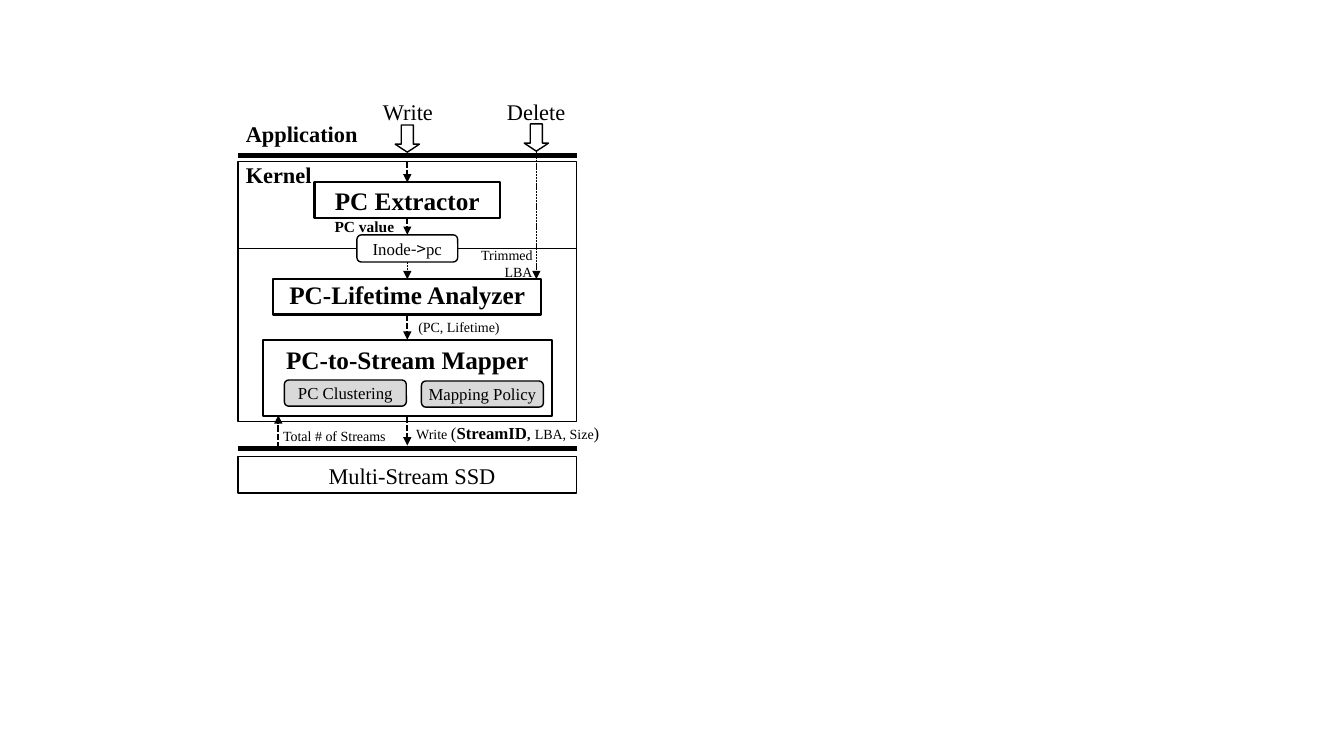
from dataclasses import dataclass
from typing import NamedTuple, Optional

from lxml import etree
from pptx import Presentation
from pptx.dml.color import RGBColor
from pptx.enum.dml import MSO_LINE
from pptx.enum.shapes import MSO_CONNECTOR, MSO_SHAPE
from pptx.enum.text import MSO_ANCHOR, MSO_AUTO_SIZE, PP_ALIGN
from pptx.oxml.ns import qn
from pptx.util import Inches, Length, Pt


@dataclass(frozen=True)
class Theme:
    font: str = "Times New Roman"
    arrow_font: str = "Noto Sans CJK KR"
    ink: RGBColor = RGBColor(0, 0, 0)
    paper: RGBColor = RGBColor(255, 255, 255)
    grey: RGBColor = RGBColor(0xD9, 0xD9, 0xD9)
    module: float = 18
    layer: float = 16
    detail: float = 12
    value: float = 11
    note: float = 10
    hair: float = 0.5
    thin: float = 1
    medium: float = 1.5
    thick: float = 3.5


class Run(NamedTuple):
    text: str
    size: float
    bold: bool = False
    font: Optional[str] = None


class Box(NamedTuple):
    center: float
    top: float
    width: float
    height: float
    line: float
    runs: tuple[Run, ...] = ()
    kind: MSO_SHAPE = MSO_SHAPE.RECTANGLE
    fill: Optional[RGBColor] = None
    anchor: MSO_ANCHOR = MSO_ANCHOR.MIDDLE
    inset_x: float = 1
    inset_y: float = 0.5


class Label(NamedTuple):
    left: float
    top: float
    width: float
    height: float
    paragraphs: tuple[tuple[Run, ...], ...]
    align: PP_ALIGN = PP_ALIGN.LEFT


class Line(NamedTuple):
    x1: float
    y1: float
    x2: float
    y2: float
    width: float
    arrow: bool = False


T = Theme()
CELL = 0.1
LEFT, RIGHT = 23.6, 57.2
AXIS = (LEFT + RIGHT) / 2
SPAN = RIGHT - LEFT
TRIM, STREAMS = 53.2, 27.6
APP_EDGE, KERNEL, SPLIT, SSD_EDGE = 15.4, 16, 24.6, 44.5
EXTRACTOR, INODE, ANALYZER, MAPPER = 18.1, 23.3, 27.7, 33.7
MODULE_H, MAPPER_H, INODE_H, DETAIL_H = 3.5, 7.6, 2.7, 2.6


def grid(cells: float) -> Length:
    return Inches(round(cells * CELL, 3))


def write(paragraph, runs: tuple[Run, ...], align: PP_ALIGN) -> None:
    paragraph.alignment = align
    for item in runs:
        run = paragraph.add_run()
        run.text = item.text
        run.font.size = Pt(item.size)
        run.font.bold = item.bold
        run.font.name = item.font or T.font
        run.font.color.rgb = T.ink


def draw_box(shapes, box: Box) -> None:
    shape = shapes.add_shape(box.kind, grid(box.center - box.width / 2),
                             grid(box.top), grid(box.width), grid(box.height))
    shape.shadow.inherit = False
    if box.kind == MSO_SHAPE.DOWN_ARROW:
        shape.adjustments[1] = 0.33
    if box.fill is None:
        shape.fill.background()
    else:
        shape.fill.solid()
        shape.fill.fore_color.rgb = box.fill
    shape.line.color.rgb = T.ink
    shape.line.width = Pt(box.line)
    frame = shape.text_frame
    frame.vertical_anchor = box.anchor
    frame.margin_left = frame.margin_right = grid(box.inset_x)
    frame.margin_top = frame.margin_bottom = grid(box.inset_y)
    write(frame.paragraphs[0], box.runs, PP_ALIGN.CENTER)


def draw_label(shapes, label: Label) -> None:
    frame = shapes.add_textbox(grid(label.left), grid(label.top),
                               grid(label.width), grid(label.height)).text_frame
    frame.word_wrap = False
    frame.auto_size = MSO_AUTO_SIZE.SHAPE_TO_FIT_TEXT
    for index, runs in enumerate(label.paragraphs):
        paragraph = frame.add_paragraph() if index else frame.paragraphs[0]
        write(paragraph, runs, label.align)


def draw_line(shapes, line: Line) -> None:
    connector = shapes.add_connector(MSO_CONNECTOR.STRAIGHT, grid(line.x1), grid(line.y1),
                                     grid(line.x2), grid(line.y2))
    connector.line.color.rgb = T.ink
    connector.line.width = Pt(line.width)
    properties = connector.element.spPr
    if line.arrow:
        connector.line.dash_style = MSO_LINE.SQUARE_DOT
        etree.SubElement(properties.find(qn("a:ln")), qn("a:tailEnd"), type="triangle")
    etree.SubElement(properties, qn("a:effectLst"))


def rule(y: float, width: float) -> Line:
    return Line(LEFT, y, RIGHT, y, width)


def flow(x: float, start: float, end: float, width: float = T.medium) -> Line:
    return Line(x, start, x, end, width, True)


def module(text: str) -> tuple[Run, ...]:
    return (Run(text, T.module, True),)


def caption(left: float, top: float, width: float, height: float,
            text: str, size: float, bold: bool = False) -> Label:
    return Label(left, top, width, height, ((Run(text, size, bold),),))


def mapper_detail(center: float, top: float, text: str, inset_x: float) -> Box:
    return Box(center, top, 12.1, DETAIL_H, T.thin, (Run(text, T.detail),),
               MSO_SHAPE.ROUNDED_RECTANGLE, T.grey, inset_x=inset_x)


def request(center: float, top: float) -> Box:
    return Box(center, top, 2.4, 2.7, T.thin, kind=MSO_SHAPE.DOWN_ARROW, fill=T.paper)


ITEMS: tuple[Box | Label | Line, ...] = (
    Box(AXIS, EXTRACTOR, 18.4, MODULE_H, T.medium, module("PC Extractor")),
    Box(AXIS, ANALYZER, 26.6, MODULE_H, T.medium, module("PC-Lifetime Analyzer"),
        anchor=MSO_ANCHOR.TOP, inset_y=0),
    rule(APP_EDGE, T.thick),
    flow(AXIS, KERNEL, EXTRACTOR),
    flow(AXIS, EXTRACTOR + MODULE_H, INODE),
    Label(46.6, 24, 7.2, 4.4, ((Run("Trimmed", T.note),), (Run("LBA", T.note),)),
          PP_ALIGN.RIGHT),
    caption(32.2, 21, 8, 2.9, "PC value", T.value, True),
    request(AXIS, 12.4),
    caption(37, 9.2, 7.1, 3.7, "Write", T.layer),
    caption(49.3, 9.2, 7.9, 3.7, "Delete", T.layer),
    caption(23.4, 15.5, 8.6, 3.7, "Kernel", T.layer, True),
    caption(23.4, 11.4, 13.3, 3.7, "Application", T.layer, True),
    Box(AXIS, MAPPER, 28.7, MAPPER_H, T.medium, module("PC-to-Stream Mapper"),
        anchor=MSO_ANCHOR.TOP),
    flow(AXIS, ANALYZER + MODULE_H, MAPPER),
    caption(40.5, 31.1, 10.2, 2.7, "(PC, Lifetime)", T.note),
    mapper_detail(47.85, 37.8, "Mapping Policy", 0),
    mapper_detail(34.25, 37.7, "PC Clustering", 1),
    caption(27.1, 41.9, 12.4, 2.7, "Total # of Streams", T.note),
    caption(31.6, 45.4, 18.8, 3.7, "Multi-Stream SSD", T.layer),
    flow(AXIS, MAPPER + MAPPER_H, 44.2),
    Label(40.3, 41.4, 20.5, 3, ((
        Run("Write ", T.note), Run("(", T.detail), Run("StreamID", T.detail, True),
        Run(",", T.note, True), Run(" ", T.detail, True),
        Run("LBA, Size", T.note), Run(")", T.detail)),)),
    request(TRIM, 12.3),
    Box(AXIS, KERNEL, SPAN, 25.8, T.thin),
    Box(AXIS, 45.3, SPAN, 3.6, T.thin),
    rule(SSD_EDGE, T.thick),
    rule(SPLIT, T.hair),
    Box(AXIS, INODE, 10, INODE_H, T.thin,
        (Run("Inode", T.detail), Run("->", T.detail, font=T.arrow_font), Run("pc", T.detail)),
        MSO_SHAPE.ROUNDED_RECTANGLE, T.paper),
    flow(AXIS, INODE + INODE_H, ANALYZER, T.hair),
    flow(TRIM, 15, ANALYZER, T.hair),
    flow(STREAMS, SSD_EDGE, 41.2),
)

DRAW = {Box: draw_box, Label: draw_label, Line: draw_line}

deck = Presentation()
deck.slide_width, deck.slide_height = Inches(13.33), Inches(7.5)
slide = deck.slides.add_slide(deck.slide_layouts[6])
for element in ITEMS:
    DRAW[type(element)](slide.shapes, element)
deck.save("out.pptx")
